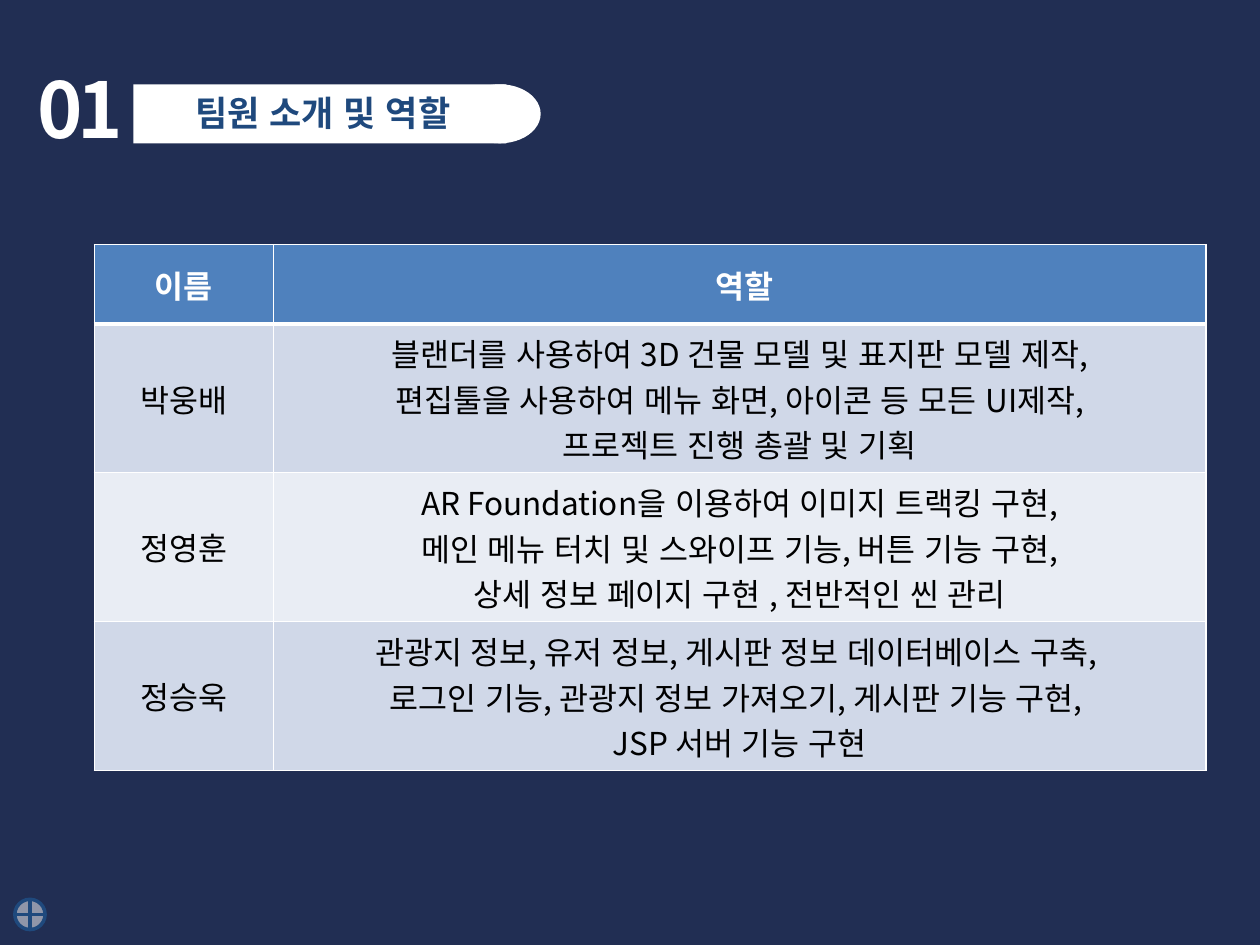
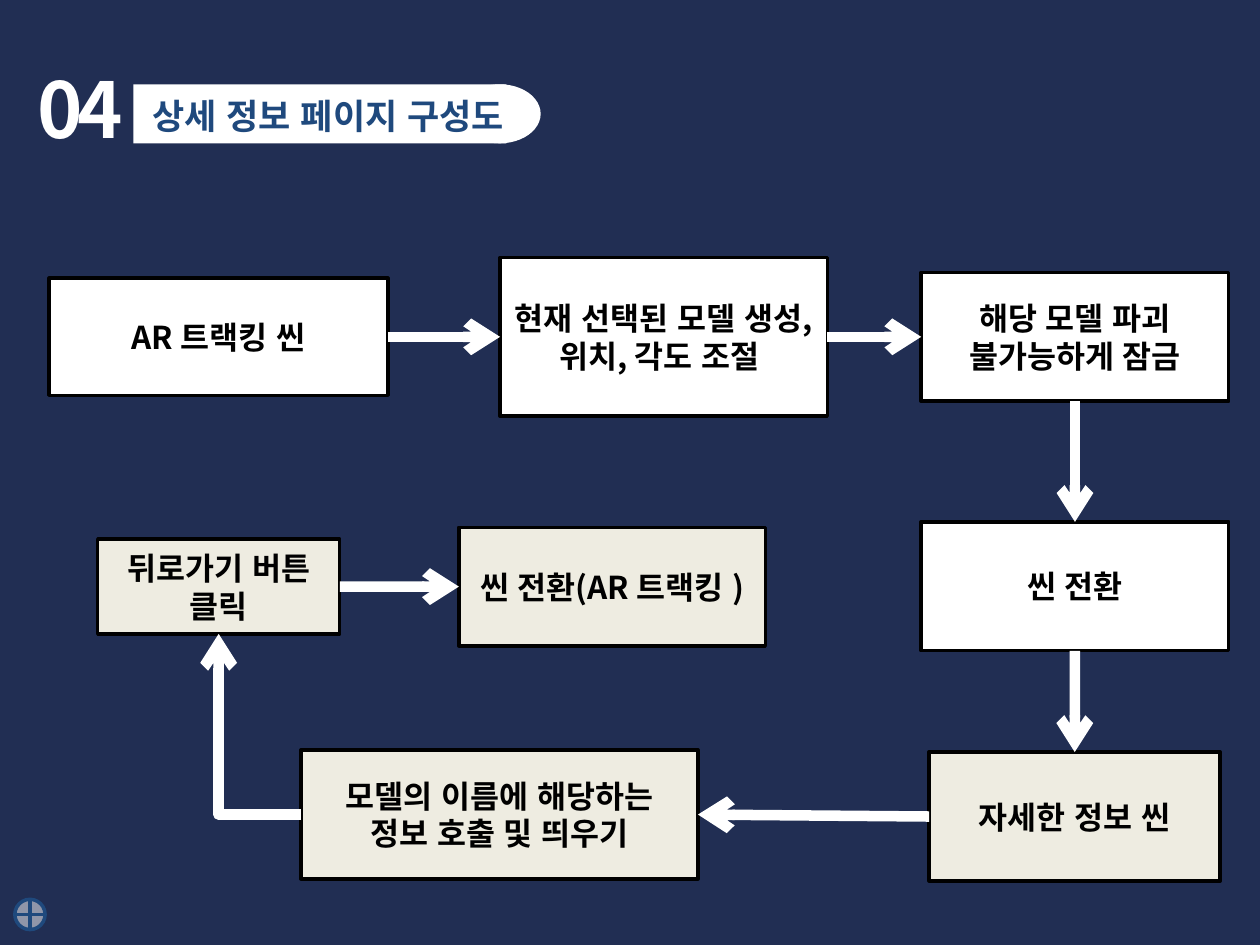
from dataclasses import dataclass
from enum import IntEnum

from lxml.etree import SubElement
from pptx import Presentation
from pptx.dml.color import RGBColor
from pptx.enum.lang import MSO_LANGUAGE_ID as Lang
from pptx.enum.shapes import MSO_CONNECTOR as Connector, MSO_SHAPE as Preset
from pptx.enum.text import MSO_ANCHOR as Anchor, MSO_AUTO_SIZE as AutoSize, PP_ALIGN as Align
from pptx.oxml.ns import qn
from pptx.util import Cm, Pt

FONT = "Noto Sans CJK KR"
NAVY = RGBColor(0x21, 0x2E, 0x53)
BLUE = RGBColor(0x1F, 0x49, 0x7D)
HEADER_BLUE = RGBColor(0x4F, 0x81, 0xBD)
ROW_TINTS = (RGBColor(0xD0, 0xD8, 0xE8), RGBColor(0xE9, 0xED, 0xF4))
CREAM = RGBColor(0xEE, 0xEC, 0xE1)
WHITE = RGBColor(0xFF, 0xFF, 0xFF)
BLACK = RGBColor(0, 0, 0)


class Side(IntEnum):
    """Connection sites of a rectangle."""
    TOP = 0
    LEFT = 1
    BOTTOM = 2
    RIGHT = 3


@dataclass(frozen=True)
class Box:
    left: float
    top: float
    width: float
    height: float

    def lengths(self) -> tuple:
        return Cm(self.left), Cm(self.top), Cm(self.width), Cm(self.height)


@dataclass(frozen=True)
class TextStyle:
    size: int
    color: RGBColor
    bold: bool = True
    align: Align = Align.CENTER
    tracking: int = 0


@dataclass(frozen=True)
class Step:
    text: str
    box: Box
    fill: RGBColor = WHITE


@dataclass(frozen=True)
class Arrow:
    start: str
    start_side: Side
    end: str
    end_side: Side
    bent: bool = False


NUMBER_STYLE = TextStyle(44, WHITE, align=Align.LEFT, tracking=-300)
TITLE_STYLE = TextStyle(20, BLUE)
HEADER_STYLE = TextStyle(18, WHITE)
BODY_STYLE = TextStyle(18, BLACK, bold=False)
STEP_STYLE = TextStyle(18, BLACK)

# Members and their roles
COLUMN_WIDTHS = (3.61, 18.8)
ROW_HEIGHTS = (1.6, 3.0, 3.0, 3.0)
ROLES = (
    ("이름", " 역할"),
    ("박웅배", "블랜더를 사용하여 3D 건물 모델 및 표지판 모델 제작,\n"
             "편집툴을 사용하여 메뉴 화면, 아이콘 등 모든 UI제작,\n"
             "프로젝트 진행 총괄 및 기획"),
    ("정영훈", "AR Foundation을 이용하여 이미지 트랙킹 구현,\n"
             "메인 메뉴 터치 및 스와이프 기능, 버튼 기능 구현,\n"
             "상세 정보 페이지 구현 , 전반적인 씬 관리"),
    ("정승욱", "관광지 정보, 유저 정보, 게시판 정보 데이터베이스 구축, \n"
             "로그인 기능, 관광지 정보 가져오기, 게시판 기능 구현, \n"
             "JSP 서버 기능 구현"),
)

# Flow of the detail page
STEPS = {
    "tracking": Step("AR 트랙킹 씬", Box(0.99, 5.61, 6.83, 2.36)),
    "create": Step("현재 선택된 모델 생성, 위치, 각도 조절 ", Box(10.08, 5.19, 6.6, 3.2)),
    "lock": Step("해당 모델 파괴 불가능하게 잠금", Box(18.57, 5.49, 6.2, 2.6)),
    "switch": Step("씬 전환", Box(18.57, 10.52, 6.2, 2.6)),
    "detail": Step("자세한 정보 씬", Box(18.73, 15.16, 5.87, 2.6), CREAM),
    "load": Step("모델의 이름에 해당하는\n정보 호출 및 띄우기", Box(6.07, 15.12, 8, 2.6), CREAM),
    "back": Step("뒤로가기 버튼 클릭", Box(1.97, 10.87, 4.88, 1.91), CREAM),
    "return": Step("씬 전환(AR 트랙킹 )", Box(9.25, 10.63, 6.18, 2.39), CREAM),
}
ARROWS = (
    Arrow("tracking", Side.RIGHT, "create", Side.LEFT),
    Arrow("create", Side.RIGHT, "lock", Side.LEFT),
    Arrow("lock", Side.BOTTOM, "switch", Side.TOP),
    Arrow("switch", Side.BOTTOM, "detail", Side.TOP),
    Arrow("detail", Side.LEFT, "load", Side.RIGHT),
    Arrow("load", Side.LEFT, "back", Side.BOTTOM, bent=True),
    Arrow("back", Side.RIGHT, "return", Side.LEFT),
)


def write(frame, text: str, style: TextStyle) -> None:
    """Fill a text frame, one paragraph a line."""
    font_values = {"name": FONT, "size": Pt(style.size), "bold": style.bold,
                   "language_id": Lang.KOREAN}
    for index, line in enumerate(text.split("\n")):
        paragraph = frame.add_paragraph() if index else frame.paragraphs[0]
        paragraph.alignment = style.align
        run = paragraph.add_run()
        run.text = line
        for attribute, value in font_values.items():
            setattr(run.font, attribute, value)
        run.font.color.rgb = style.color
        properties = run._r.get_or_add_rPr()
        SubElement(properties, qn("a:ea"), typeface=FONT)
        if style.tracking:
            properties.set("spc", str(style.tracking))


def add_label(slide, text: str, box: Box, style: TextStyle) -> None:
    frame = slide.shapes.add_textbox(*box.lengths()).text_frame
    for attribute, value in {"word_wrap": True,
                             "auto_size": AutoSize.SHAPE_TO_FIT_TEXT}.items():
        setattr(frame, attribute, value)
    write(frame, text, style)


def add_figure(shapes, preset: Preset, box: Box, fill: RGBColor,
               line: RGBColor | None = None):
    figure = shapes.add_shape(preset, *box.lengths())
    figure.shadow.inherit = False
    figure.fill.solid()
    figure.fill.fore_color.rgb = fill
    if line is None:
        figure.line.fill.background()
    else:
        figure.line.color.rgb = line
        figure.line.width = Pt(2)
    return figure


def add_titled_slide(deck, number: str, title: str, title_box: Box):
    """Add a slide with the shared background, marker and title band."""
    slide = deck.slides.add_slide(deck.slide_layouts[6])
    slide.background.fill.solid()
    slide.background.fill.fore_color.rgb = NAVY
    add_label(slide, number, Box(0.51, 1.12, 2.79, 2.13), NUMBER_STYLE)

    # Half-transparent corner marker
    marker = add_figure(slide.shapes, Preset.FLOWCHART_OR,
                        Box(0.3, 18.13, 0.61, 0.61), WHITE, BLUE)
    marker_color = marker._element.spPr.find(qn("a:solidFill")).find(qn("a:srgbClr"))
    SubElement(marker_color, qn("a:alpha"), val="50000")

    # Band with a rounded end
    band = slide.shapes.add_group_shape()
    add_figure(band.shapes, Preset.RECTANGLE, Box(2.69, 1.7, 7.52, 1.19), WHITE)
    add_figure(band.shapes, Preset.OVAL, Box(9.25, 1.7, 1.65, 1.19), WHITE)
    add_label(slide, title, title_box, TITLE_STYLE)
    return slide


def add_border(cell, edge: str, points: int) -> None:
    line = SubElement(cell._tc.get_or_add_tcPr(), qn(f"a:ln{edge}"),
                      w=str(Pt(points)))
    SubElement(SubElement(line, qn("a:solidFill")), qn("a:srgbClr"), val=str(WHITE))


def add_role_table(slide) -> None:
    place = Box(1.9, 4.93, sum(COLUMN_WIDTHS), sum(ROW_HEIGHTS))
    roles = slide.shapes.add_table(len(ROLES), len(COLUMN_WIDTHS),
                                   *place.lengths()).table
    for column, width in zip(roles.columns, COLUMN_WIDTHS):
        column.width = Cm(width)
    for index, entry in enumerate(ROLES):
        roles.rows[index].height = Cm(ROW_HEIGHTS[index])
        is_header = index == 0
        edges = {"L": 1, "R": 1, "T": 3 if index == 1 else 1,
                 "B": 3 if is_header else 1}
        for cell, text in zip(roles.rows[index].cells, entry):
            for edge, points in edges.items():
                add_border(cell, edge, points)
            cell.fill.solid()
            cell.fill.fore_color.rgb = (
                HEADER_BLUE if is_header else ROW_TINTS[(index - 1) % 2])
            cell.vertical_anchor = Anchor.MIDDLE
            write(cell.text_frame, text, HEADER_STYLE if is_header else BODY_STYLE)


def add_step(slide, step: Step):
    figure = add_figure(slide.shapes, Preset.RECTANGLE, step.box, step.fill, BLACK)
    for attribute, value in {"word_wrap": True,
                             "vertical_anchor": Anchor.MIDDLE}.items():
        setattr(figure.text_frame, attribute, value)
    write(figure.text_frame, step.text, STEP_STYLE)
    return figure


def add_arrow(slide, arrow: Arrow, figures: dict) -> None:
    kind = Connector.ELBOW if arrow.bent else Connector.STRAIGHT
    link = slide.shapes.add_connector(kind, 0, 0, 0, 0)
    link.begin_connect(figures[arrow.start], arrow.start_side)
    link.end_connect(figures[arrow.end], arrow.end_side)
    link.line.color.rgb = WHITE
    link.line.width = Pt(6)
    properties = link._element.spPr
    if arrow.bent:  # a single corner
        properties.find(qn("a:prstGeom")).set("prst", "bentConnector2")
    SubElement(properties.find(qn("a:ln")), qn("a:tailEnd"), type="arrow")
    SubElement(properties, qn("a:effectLst"))


def main() -> None:
    deck = Presentation()
    deck.slide_width, deck.slide_height = Cm(25.4), Cm(19.05)

    team = add_titled_slide(deck, "01", "팀원 소개 및 역할 ", Box(2.9, 1.73, 7.42, 1.12))
    add_role_table(team)

    flow = add_titled_slide(deck, "04", "상세 정보 페이지 구성도",
                            Box(2.34, 1.78, 8.56, 1.12))
    figures = {key: add_step(flow, step) for key, step in STEPS.items()}
    for arrow in ARROWS:
        add_arrow(flow, arrow, figures)

    deck.save("out.pptx")


if __name__ == "__main__":
    main()
